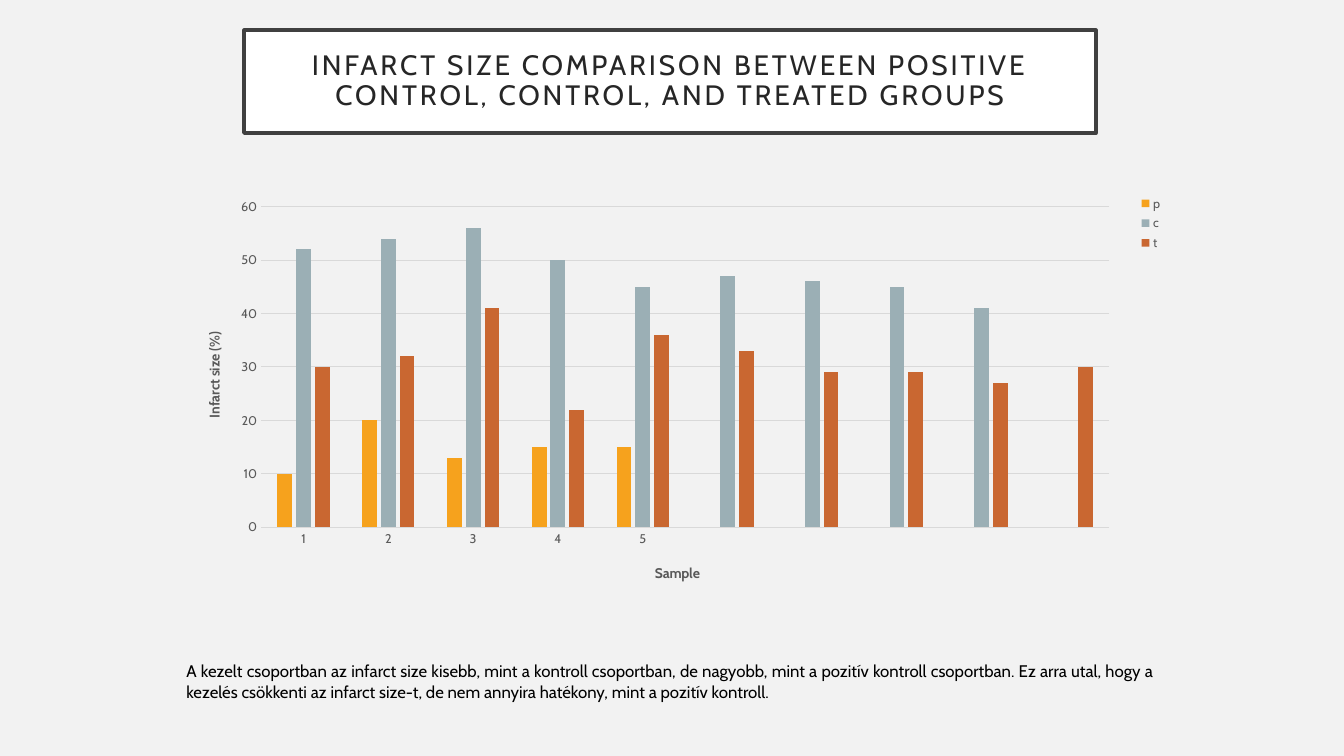
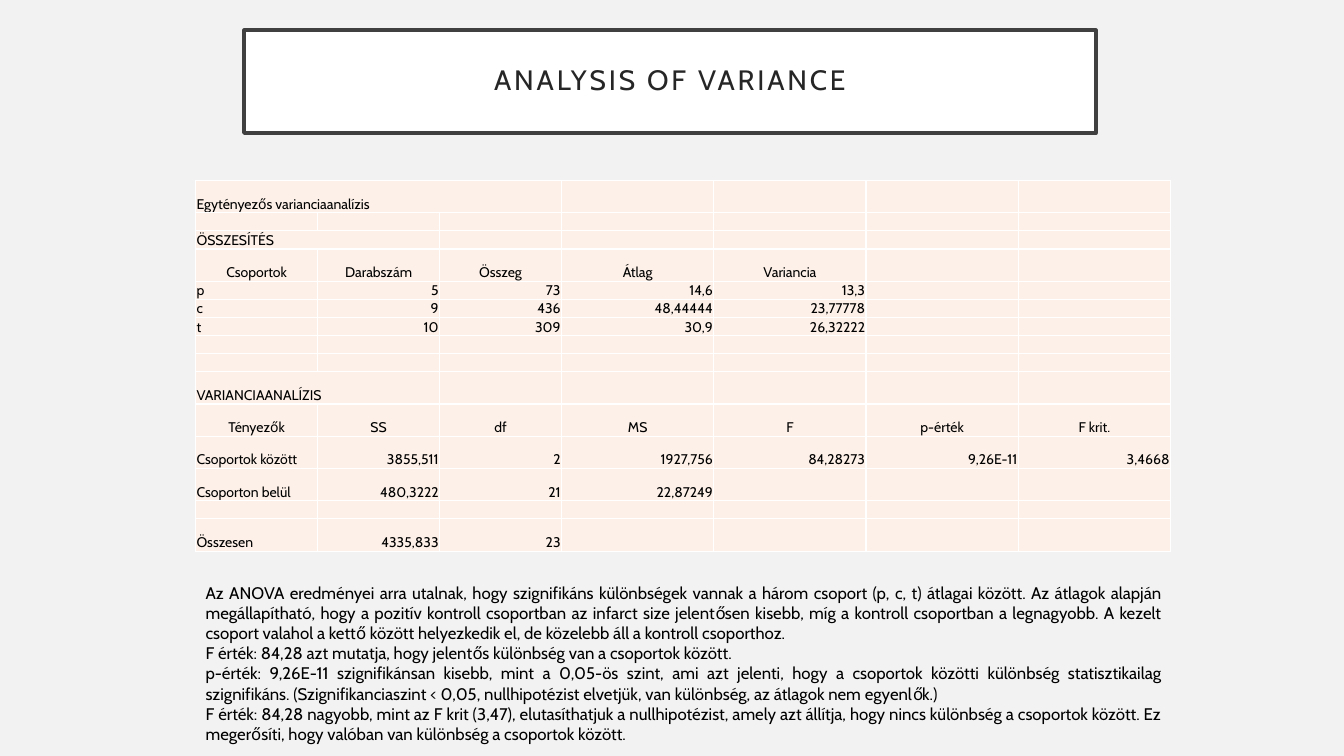
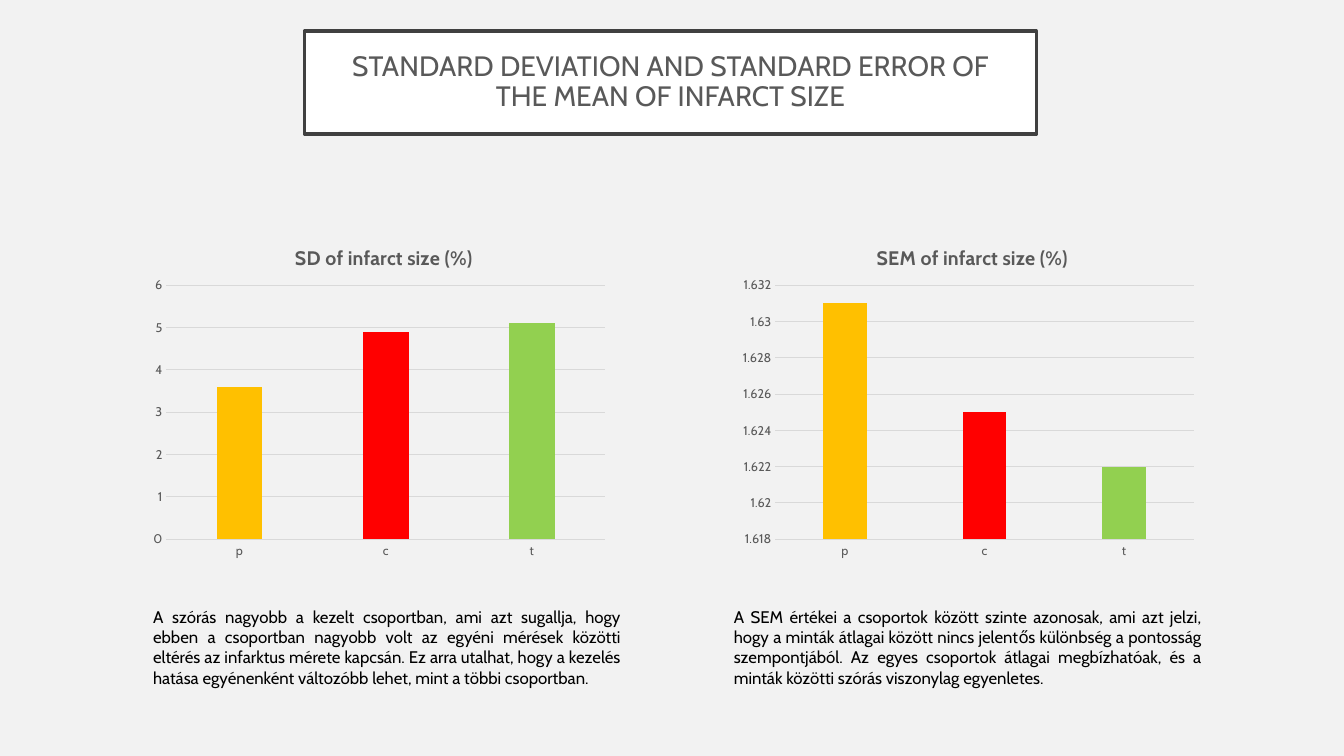
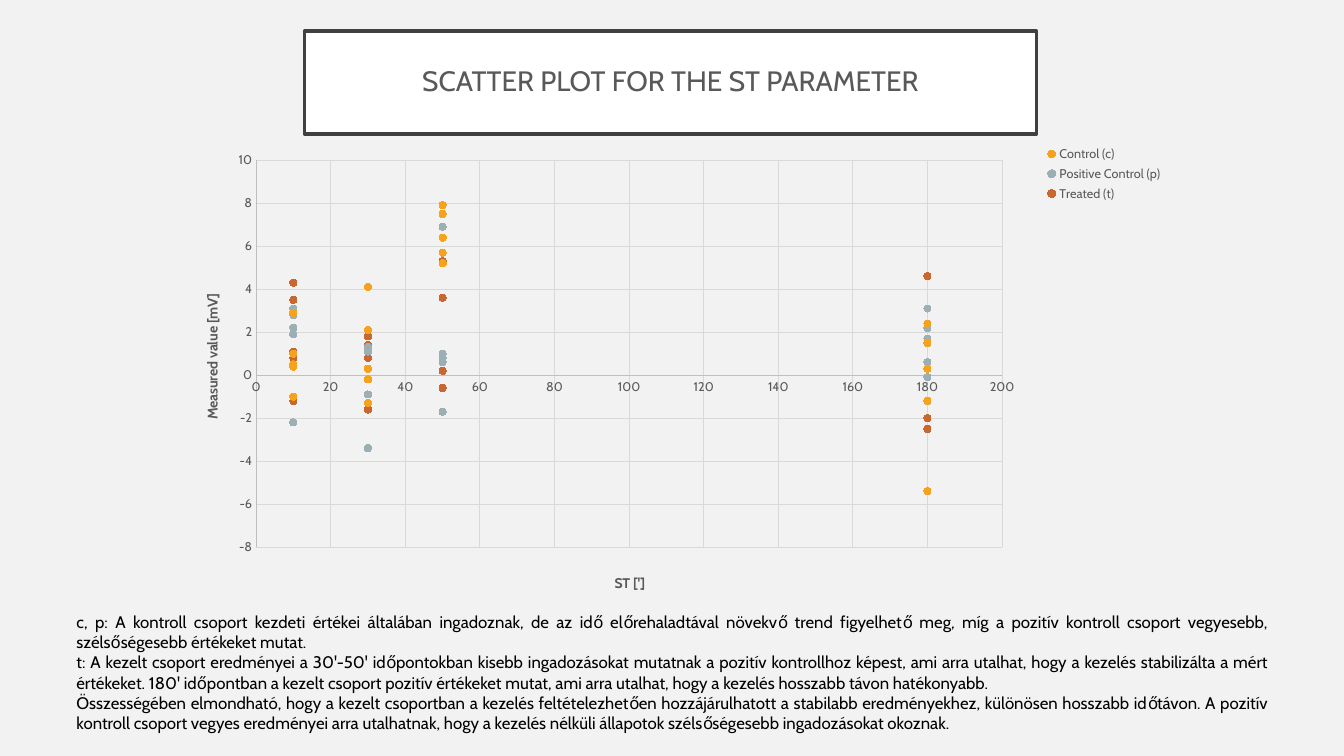
"""Build four slides on infarct size and the ST parameter."""
from lxml.etree import SubElement
from pptx import Presentation
from pptx.chart.data import CategoryChartData, XyChartData
from pptx.dml.color import RGBColor
from pptx.enum.chart import XL_CHART_TYPE, XL_LEGEND_POSITION, XL_MARKER_STYLE, XL_TICK_MARK
from pptx.enum.shapes import MSO_SHAPE
from pptx.enum.text import MSO_ANCHOR, MSO_AUTO_SIZE, PP_ALIGN
from pptx.oxml.ns import qn
from pptx.util import Inches, Pt

FONT = "Cabin"
BLACK, WHITE, GRAY, DARK = "000000", "FFFFFF", "595959", "262626"
BACKGROUND, FRAME, GRID, AXIS = "F2F2F2", "404040", "D9D9D9", "BFBFBF"
CELL = "FDF0E8"
ORANGE, BLUE, RUST = "F6A21D", "9BAFB5", "C96731"
GROUP_COLORS = ["FFC000", "FF0000", "92D050"]
hex_color = RGBColor.from_string


def write(frame, lines, size, color, align, tracking=0):
    """Fill a text frame with one paragraph per line."""
    for number, line in enumerate(lines):
        para = frame.paragraphs[0] if number == 0 else frame.add_paragraph()
        para.alignment = align
        span = para.add_run()
        span.text = line
        span.font.name = FONT
        span.font.size = Pt(size)
        span.font.color.rgb = hex_color(color)
        if tracking:
            span.font._element.set("spc", str(tracking * 100))


def place(element, index, frame, spot):
    """Fix a chart part at a slide position given in inches."""
    for old in element.findall(qn("c:layout")):
        element.remove(old)
    layout = SubElement(element, qn("c:layout"))
    element.insert(index, layout)
    manual = SubElement(layout, qn("c:manualLayout"))
    left, top, width, height = frame
    settings = {"xMode": "edge", "yMode": "edge",
                "x": (spot[0] - left) / width, "y": (spot[1] - top) / height}
    if len(spot) == 4:
        settings = {"layoutTarget": "inner", **settings,
                    "w": spot[2] / width, "h": spot[3] / height}
    for name, value in settings.items():
        SubElement(manual, qn("c:" + name)).set("val", str(value))


deck = Presentation()
deck.slide_width, deck.slide_height = Inches(13.33), Inches(7.5)
master_fill = deck.slide_master.background.fill
master_fill.solid()
master_fill.fore_color.rgb = hex_color(BACKGROUND)

wide_title = {"box": (2.42, 0.3, 8.45, 1.02), "color": DARK, "tracking": 2}
narrow_title = {"box": (3.02, 0.31, 7.26, 1.02), "color": GRAY, "tracking": 0}
slides = [
    (wide_title, "INFARCT SIZE COMPARISON BETWEEN POSITIVE CONTROL, CONTROL, AND TREATED GROUPS", [
        ((1.75, 6.51, 9.8, 0.5), [
            "A kezelt csoportban az infarct size kisebb, mint a kontroll csoportban, de nagyobb, mint a pozitív kontroll csoportban. Ez arra utal, hogy a kezelés csökkenti az infarct size-t, de nem annyira hatékony, mint a pozitív kontroll."]),
    ]),
    (wide_title, "ANALYSIS OF VARIANCE", [
        ((1.94, 5.73, 9.69, 1.72), [
            "Az ANOVA eredményei arra utalnak, hogy szignifikáns különbségek vannak a három csoport (p, c, t) átlagai között. Az átlagok alapján megállapítható, hogy a pozitív kontroll csoportban az infarct size jelentősen kisebb, míg a kontroll csoportban a legnagyobb. A kezelt csoport valahol a kettő között helyezkedik el, de közelebb áll a kontroll csoporthoz.",
            "F érték: 84,28 azt mutatja, hogy jelentős különbség van a csoportok között.",
            "p-érték: 9,26E-11 szignifikánsan kisebb, mint a 0,05-ös szint, ami azt jelenti, hogy a csoportok közötti különbség statisztikailag szignifikáns. (Szignifikanciaszint < 0,05, nullhipotézist elvetjük, van különbség, az átlagok nem egyenlők.)",
            "F érték: 84,28 nagyobb, mint az F krit (3,47), elutasíthatjuk a nullhipotézist, amely azt állítja, hogy nincs különbség a csoportok között. Ez megerősíti, hogy valóban van különbség a csoportok között."]),
    ]),
    (narrow_title, "STANDARD DEVIATION AND STANDARD ERROR OF THE MEAN OF INFARCT SIZE", [
        ((1.42, 5.97, 4.84, 0.91), [
            "A szórás nagyobb a kezelt csoportban, ami azt sugallja, hogy ebben a csoportban nagyobb volt az egyéni mérések közötti eltérés az infarktus mérete kapcsán. Ez arra utalhat, hogy a kezelés hatása egyénenként változóbb lehet, mint a többi csoportban."]),
        ((7.18, 5.97, 4.84, 0.91), [
            "A SEM értékei a csoportok között szinte azonosak, ami azt jelzi, hogy a minták átlagai között nincs jelentős különbség a pontosság szempontjából. Az egyes csoportok átlagai megbízhatóak, és a minták közötti szórás viszonylag egyenletes."]),
    ]),
    (narrow_title, "SCATTER PLOT FOR THE ST PARAMETER", [
        ((0.66, 6.02, 12.03, 1.31), [
            "c, p: A kontroll csoport kezdeti értékei általában ingadoznak, de az idő előrehaladtával növekvő trend figyelhető meg, míg a pozitív kontroll csoport vegyesebb, szélsőségesebb értékeket mutat.",
            "t: A kezelt csoport eredményei a 30'-50' időpontokban kisebb ingadozásokat mutatnak a pozitív kontrollhoz képest, ami arra utalhat, hogy a kezelés stabilizálta a mért értékeket. 180' időpontban a kezelt csoport pozitív értékeket mutat, ami arra utalhat, hogy a kezelés hosszabb távon hatékonyabb.",
            "Összességében elmondható, hogy a kezelt csoportban a kezelés feltételezhetően hozzájárulhatott a stabilabb eredményekhez, különösen hosszabb időtávon. A pozitív kontroll csoport vegyes eredményei arra utalhatnak, hogy a kezelés nélküli állapotok szélsőségesebb ingadozásokat okoznak."]),
    ]),
]

pages = []
for style, heading, captions in slides:
    page = deck.slides.add_slide(deck.slide_layouts[6])
    pages.append(page)
    box = page.shapes.add_shape(MSO_SHAPE.RECTANGLE, *map(Inches, style["box"]))
    box.shadow.inherit = False
    box.fill.solid()
    box.fill.fore_color.rgb = hex_color(WHITE)
    box.line.color.rgb = hex_color(FRAME)
    box.line.width = Pt(2.5)
    frame = box.text_frame
    frame.word_wrap = True
    frame.vertical_anchor = MSO_ANCHOR.MIDDLE
    frame.margin_left = frame.margin_right = Inches(0.2)
    frame.margin_top = frame.margin_bottom = Inches(0.2)
    write(frame, [heading], 20, style["color"], PP_ALIGN.CENTER, style["tracking"])
    frame.paragraphs[0].line_spacing = 0.9
    for spot, lines in captions:
        caption = page.shapes.add_textbox(*map(Inches, spot))
        caption.text_frame.word_wrap = True
        caption.text_frame.auto_size = MSO_AUTO_SIZE.SHAPE_TO_FIT_TEXT
        write(caption.text_frame, lines, 12, BLACK, PP_ALIGN.JUSTIFY)

anova_rows = [
    ["Egytényezős varianciaanalízis"],
    [],
    ["ÖSSZESÍTÉS"],
    ["Csoportok", "Darabszám", "Összeg", "Átlag", "Variancia"],
    ["p", "5", "73", "14,6", "13,3"],
    ["c", "9", "436", "48,44444", "23,77778"],
    ["t", "10", "309", "30,9", "26,32222"],
    [],
    [],
    ["VARIANCIAANALÍZIS"],
    ["Tényezők", "SS", "df", "MS", "F", "p-érték", "F krit."],
    ["Csoportok között", "3855,511", "2", "1927,756", "84,28273", "9,26E-11", "3,4668"],
    ["Csoporton belül", "480,3222", "21", "22,87249"],
    [],
    ["Összesen", "4335,833", "23"],
]
header_rows = (3, 10)
tall_rows = (0, 3, 9, 10, 11, 12, 14)
merged_to = {0: 2, 2: 1, 9: 1}
column_widths = [1.21] * 3 + [1.51] * 4

table = pages[1].shapes.add_table(len(anova_rows), len(column_widths), Inches(1.94),
                                  Inches(1.79), Inches(9.69), Inches(3.67)).table
for column, width in zip(table.columns, column_widths):
    column.width = Inches(width)
for row_number, texts in enumerate(anova_rows):
    table.rows[row_number].height = Inches(0.32 if row_number in tall_rows else 0.18)
    for column_number in range(len(column_widths)):
        cell = table.cell(row_number, column_number)
        cell.fill.solid()
        cell.fill.fore_color.rgb = hex_color(CELL)
        cell.vertical_anchor = MSO_ANCHOR.BOTTOM
        cell.margin_left = cell.margin_right = cell.margin_top = Inches(0.01)
        cell.margin_bottom = 0
        properties = cell._tc.get_or_add_tcPr()
        for index, side in enumerate(("lnL", "lnR", "lnT", "lnB")):
            border = SubElement(properties, qn("a:" + side), w=str(Pt(1)))
            SubElement(SubElement(border, qn("a:solidFill")), qn("a:srgbClr"), val=WHITE)
            properties.insert(index, border)
        if column_number < len(texts):
            if row_number in header_rows:
                align = PP_ALIGN.CENTER
            else:
                align = PP_ALIGN.RIGHT if column_number else PP_ALIGN.LEFT
            write(cell.text_frame, [texts[column_number]], 10, BLACK, align)
        else:
            SubElement(cell.text_frame.paragraphs[0]._p, qn("a:endParaRPr"), sz="1000")
    if row_number in merged_to:
        table.cell(row_number, 0).merge(table.cell(row_number, merged_to[row_number]))

infarct_data = CategoryChartData()
infarct_data.categories = ["1", "2", "3", "4", "5"] + [""] * 5
infarct_data.add_series("p", [10, 20, 13, 15, 15] + [None] * 5)
infarct_data.add_series("c", [52, 54, 56, 50, 45, 47, 46, 45, 41, None])
infarct_data.add_series("t", [30, 32, 41, 22, 36, 33, 29, 29, 27, 30])

deviation_data, error_data = CategoryChartData(), CategoryChartData()
for data, values in ((deviation_data, [3.6, 4.9, 5.1]), (error_data, [1.631, 1.625, 1.622])):
    data.categories = ["p", "c", "t"]
    data.add_series("Series 1", values)

minutes = [minute for minute in (10, 30, 50, 180) for _ in range(5)]
scatter_data = XyChartData()
for name, values in (
    ("Control (c)", [2.9, 1, 0.5, 0.4, -1, 4.1, -0.2, -1.3, 2.1, 0.3,
                     7.5, 7.9, 6.4, 5.7, 5.2, 2.4, -5.4, 0.3, 1.5, -1.2]),
    ("Positive Control (p)", [-2.2, 2.8, 1.9, 2.2, 3.1, -3.4, 1.1, 4.1, -0.9, 1.3,
                              0.6, 6.9, 1, 0.8, -1.7, 0.6, 3.1, -0.1, 1.7, 2.2]),
    ("Treated (t)", [1.1, 3.5, -1.2, 4.3, 0.8, -1.6, 0.8, 1.4, 1.8, 1.1,
                     5.3, 5.2, 3.6, -0.6, 0.2, 4.6, -2.5, -2, 2.2, 2.4]),
):
    series = scatter_data.add_series(name)
    for minute, value in zip(minutes, values):
        series.add_data_point(minute, value)

charts = [
    {"page": pages[0], "data": infarct_data, "frame": (1.75, 1.9, 9.8, 4.03),
     "plot": (2.59, 2.05, 8.41, 3.18), "scale": (0, 60, 10),
     "axis_titles": [("Sample", (6.47, 5.56)), ("Infarct size (%)", (2, 3.27))]},
    {"page": pages[2], "data": deviation_data, "frame": (1.42, 2.22, 4.67, 3.39),
     "plot": (1.65, 2.83, 4.35, 2.52), "scale": (0, 6, 1),
     "title": ("SD of infarct size (%)", (2.89, 2.39))},
    {"page": pages[2], "data": error_data, "frame": (7.26, 2.22, 4.67, 3.39),
     "plot": (7.69, 2.83, 4.15, 2.52), "scale": (1.618, 1.632, 0.002),
     "title": ("SEM of infarct size (%)", (8.66, 2.39))},
    {"page": pages[3], "data": scatter_data, "frame": (1.73, 1.41, 9.82, 4.6),
     "plot": (2.54, 1.59, 7.4, 3.84), "scale": (-8, 10, 2),
     "axis_titles": [("ST [']", (6.07, 5.66)), ("Measured value [mV]", (1.98, 2.89))]},
]
for item in charts:
    scatter = item["data"] is scatter_data
    kind = XL_CHART_TYPE.XY_SCATTER if scatter else XL_CHART_TYPE.COLUMN_CLUSTERED
    chart = item["page"].shapes.add_chart(kind, *map(Inches, item["frame"]), item["data"]).chart
    chart.font.name = FONT
    chart.font.size = Pt(10)
    chart.font.color.rgb = hex_color(BLACK)
    place(chart._chartSpace.chart.plotArea, 0, item["frame"], item["plot"])

    chart.has_title = "title" in item
    if chart.has_title:
        text, spot = item["title"]
        write(chart.chart_title.text_frame, [text], 14, GRAY, PP_ALIGN.CENTER)
        place(chart.chart_title._element, 1, item["frame"], spot)

    category_axis, value_axis = chart.category_axis, chart.value_axis
    for axis in (category_axis, value_axis):
        axis.major_tick_mark = axis.minor_tick_mark = XL_TICK_MARK.NONE
        axis.tick_labels.font.name = FONT
        axis.tick_labels.font.size = Pt(9)
        axis.tick_labels.font.color.rgb = hex_color(GRAY)
        axis.has_major_gridlines = scatter or axis is value_axis
        if axis.has_major_gridlines:
            axis.major_gridlines.format.line.color.rgb = hex_color(GRID)
            axis.major_gridlines.format.line.width = Pt(0.75)
        if scatter or axis is category_axis:
            axis.format.line.color.rgb = hex_color(AXIS if scatter else GRID)
            axis.format.line.width = Pt(0.75)
        else:
            axis.format.line.fill.background()
    value_axis.minimum_scale, value_axis.maximum_scale, value_axis.major_unit = item["scale"]
    value_axis.tick_labels.number_format = "General"
    value_axis.tick_labels.number_format_is_linked = False
    for axis, (text, spot) in zip((category_axis, value_axis), item.get("axis_titles", [])):
        write(axis.axis_title.text_frame, [text], 10, GRAY, PP_ALIGN.CENTER)
        title = axis.axis_title._element
        place(title, 1, item["frame"], spot)
        if axis is value_axis:
            title.find(".//" + qn("a:bodyPr")).set("rot", "-5400000")

    plot = chart.plots[0]
    plot.vary_by_categories = False
    chart.has_legend = len(plot.series) > 1
    if chart.has_legend:
        chart.legend.position = XL_LEGEND_POSITION.CORNER
        chart.legend.include_in_layout = False
        chart.legend.font.name = FONT
        chart.legend.font.size = Pt(9)
        chart.legend.font.color.rgb = hex_color(GRAY)
    if scatter:
        category_axis.minimum_scale, category_axis.maximum_scale = 0, 200
        category_axis.major_unit = 20
    else:
        plot.gap_width, plot.overlap = 219, -27
    for series, color in zip(plot.series, (ORANGE, BLUE, RUST)):
        if scatter:
            series.format.line.fill.background()
            series.marker.style = XL_MARKER_STYLE.CIRCLE
            series.marker.size = 5
            series.marker.format.line.color.rgb = hex_color(color)
        look = series.marker.format if scatter else series.format
        look.fill.solid()
        look.fill.fore_color.rgb = hex_color(color)
        if chart.has_title:
            for index, group_color in enumerate(GROUP_COLORS):
                fill = series.points[index].format.fill
                fill.solid()
                fill.fore_color.rgb = hex_color(group_color)

deck.save("out.pptx")
